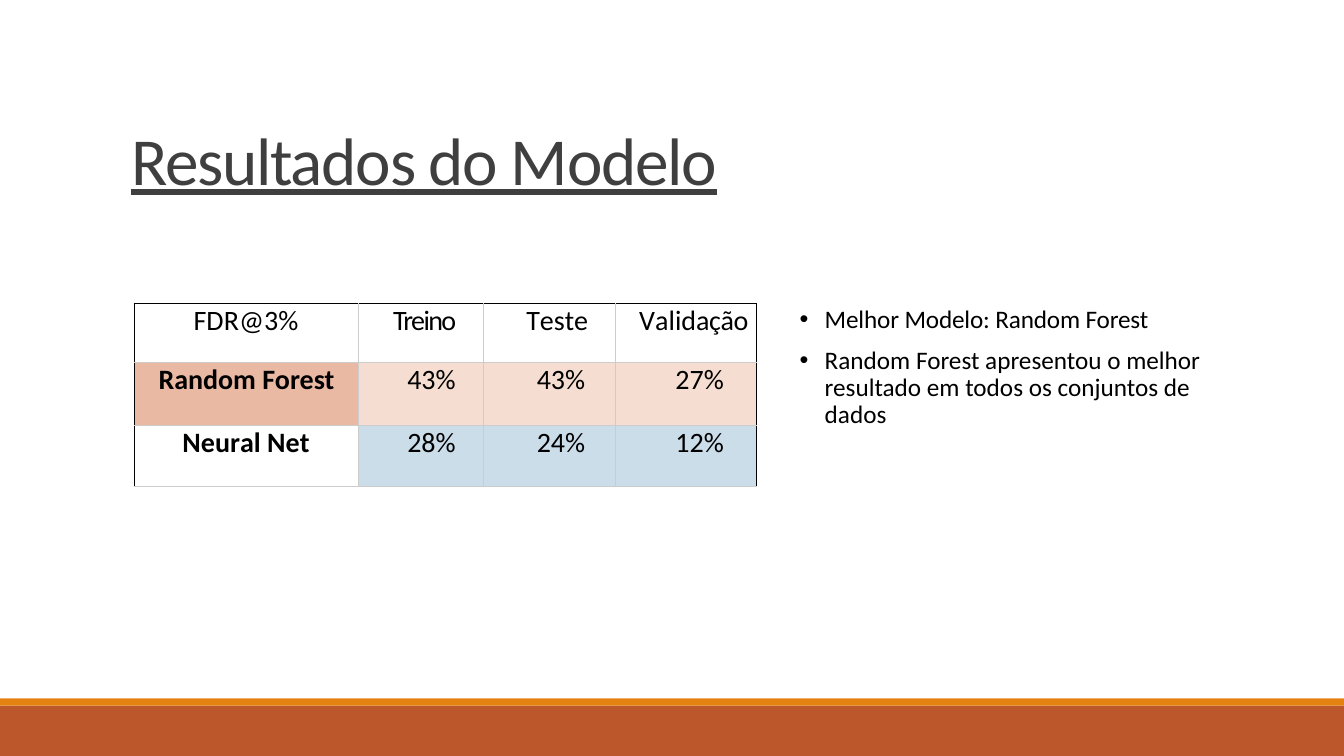
from lxml import etree
from pptx import Presentation
from pptx.dml.color import RGBColor
from pptx.enum.shapes import MSO_SHAPE
from pptx.enum.text import MSO_ANCHOR, MSO_AUTO_SIZE, PP_ALIGN
from pptx.oxml.ns import qn
from pptx.util import Inches, Pt

RECTANGLE = MSO_SHAPE.RECTANGLE
TOP = MSO_ANCHOR.TOP
NO_AUTOFIT = MSO_AUTO_SIZE.NONE
LEFT, CENTER = PP_ALIGN.LEFT, PP_ALIGN.CENTER

COLORS = {
    "white": "FFFFFF", "black": "000000", "title": "3F3F3F", "grid": "CCCCCC",
    "rust": "BC572C", "orange": "E48211",
    "salmon": "EAB9A4", "peach": "F5DDD2", "sky": "CCDDEA",
}


class SlideBuilder:
    font = "Calibri"

    def __init__(self, slide):
        self.slide = slide
        self.paint(slide.background.fill, "white")

    def color(self, name):
        return RGBColor.from_string(COLORS[name])

    def paint(self, fill, name):
        fill.solid()
        fill.fore_color.rgb = self.color(name)

    def bar(self, top, height, color):
        shape = self.slide.shapes.add_shape(
            RECTANGLE, 0, Inches(top), Inches(13.33), Inches(height))
        shape.shadow.inherit = False
        self.paint(shape.fill, color)
        shape.line.fill.background()

    def add_runs(self, paragraph, runs, size, color="black", bold=False, underline=False,
                 align=LEFT, margin=0, hanging=0):
        paragraph.alignment = align
        paragraph.space_before = Pt(0)
        properties = paragraph._p.get_or_add_pPr()
        properties.set("marL", str(Inches(margin)))
        properties.set("indent", str(Inches(-hanging)))
        for text, spacing in runs:
            run = paragraph.add_run()
            run.text = text
            font = run.font
            font.name, font.size = self.font, Pt(size)
            font.bold, font.underline = bold, underline
            font.color.rgb = self.color(color)
            run._r.get_or_add_rPr().set("spc", str(round(spacing * 100)))

    def place(self, shape, left, top, width, height):
        shape.left, shape.top = Inches(left), Inches(top)
        shape.width, shape.height = Inches(width), Inches(height)
        frame = shape.text_frame
        frame.margin_left = frame.margin_right = frame.margin_top = frame.margin_bottom = 0
        frame.word_wrap = True
        frame.auto_size = NO_AUTOFIT
        frame.vertical_anchor = TOP
        return frame

    def title(self, text, *box):
        frame = self.place(self.slide.shapes.title, *box)
        self.add_runs(frame.paragraphs[0], [(text, -0.9)], 48, "title",
                      underline=True, margin=0.33)

    def bullets(self, items, *box):
        frame = self.place(self.slide.placeholders[1], *box)
        for index, (text, spacing) in enumerate(items):
            paragraph = frame.add_paragraph() if index else frame.paragraphs[0]
            self.add_runs(paragraph, [(text, spacing)], 18, margin=0.26, hanging=0.25)
            if index:
                paragraph.space_before = Pt(10.1)
                paragraph.line_spacing = 0.9
            properties = paragraph._p.get_or_add_pPr()
            etree.SubElement(properties, qn("a:buFont")).set("typeface", "Arial")
            etree.SubElement(properties, qn("a:buChar")).set("char", "•")

    def borders(self, cell, sides):
        properties = cell._tc.get_or_add_tcPr()
        for index, (side, color) in enumerate(sides.items()):
            line = etree.Element(qn(f"a:ln{side}"), w=str(Pt(0.75)))
            fill = etree.SubElement(line, qn("a:solidFill"))
            etree.SubElement(fill, qn("a:srgbClr")).set("val", COLORS[color])
            properties.insert(index, line)

    def table(self, rows, fills, left, top, widths, heights):
        table = self.slide.shapes.add_table(
            len(heights), len(widths), Inches(left), Inches(top),
            Inches(sum(widths)), Inches(sum(heights))).table
        table.first_row = table.horz_banding = False
        for column, width in zip(table.columns, widths):
            column.width = Inches(width)
        last = len(widths) - 1
        for r, height in enumerate(heights):
            table.rows[r].height = Inches(height)
            for c, (runs, align, margin) in enumerate(rows[r]):
                cell = table.cell(r, c)
                cell.margin_left = cell.margin_right = 0
                cell.margin_top = cell.margin_bottom = 0
                cell.vertical_anchor = TOP
                self.add_runs(cell.text_frame.paragraphs[0], runs, 20,
                              bold=r > 0 and c == 0, align=align, margin=margin)
                fill = fills[r][min(c, 1)]
                if fill:
                    self.paint(cell.fill, fill)
                else:
                    cell.fill.background()
                self.borders(cell, {
                    "L": "black" if c == 0 else "grid",
                    "R": "black" if c == last else "grid",
                    "T": "black" if r == 0 else "grid",
                    "B": "grid",
                })


def percentages(*values):
    return [([(f"{value}%", 0)], CENTER, margin)
            for value, margin in zip(values, (0.2, 0.23, 0.28))]


presentation = Presentation()
presentation.slide_width, presentation.slide_height = Inches(13.33), Inches(7.5)
builder = SlideBuilder(presentation.slides.add_slide(presentation.slide_layouts[1]))

builder.bar(7, 0.5, "rust")
builder.bar(6.93, 0.07, "orange")
builder.title("Resultados do Modelo", 0.97, 1.17, 11.4, 0.81)
builder.bullets([
    ("Melhor Modelo: Random Forest", -0.1),
    ("Random Forest apresentou o melhor resultado em todos os conjuntos de dados", 0),
], 7.92, 3.01, 3.99, 1.26)

header = [
    ([("F", -0.1), ("D", 0.1), ("R@3%", 0)], LEFT, 0.59),
    ([("Treino", -1.2)], LEFT, 0.34),
    ([("T", -1.9), ("e", 0), ("s", -0.3), ("te", 0)], LEFT, 0.42),
    ([("V", -1.1), ("al", 0), ("id", -0.1), ("ação", -0.2)], LEFT, 0.24),
]
random_forest = ([("Random Forest", 0)], CENTER, 0)
neural_net = ([("Neu", 0), ("r", -0.6), ("al N", 0), ("e", -0.1), ("t", 0)], LEFT, 0.48)
builder.table(
    [header,
     [random_forest, *percentages(43, 43, 27)],
     [neural_net, *percentages(28, 24, 12)]],
    [(None, None), ("salmon", "peach"), (None, "sky")],
    1.33, 3.01, (2.23, 1.24, 1.3, 1.4), (0.59, 0.62, 0.61))

presentation.save("out.pptx")
